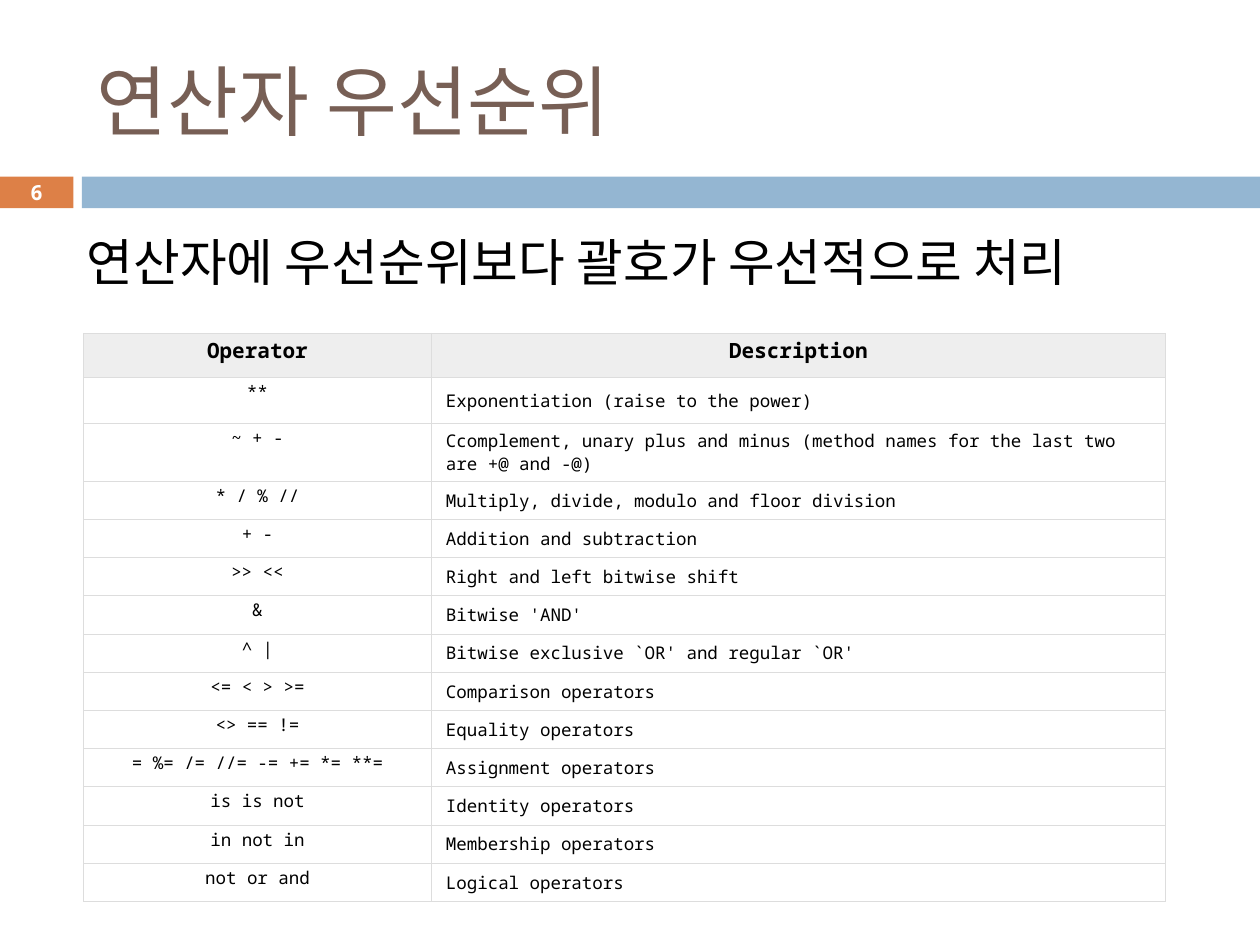
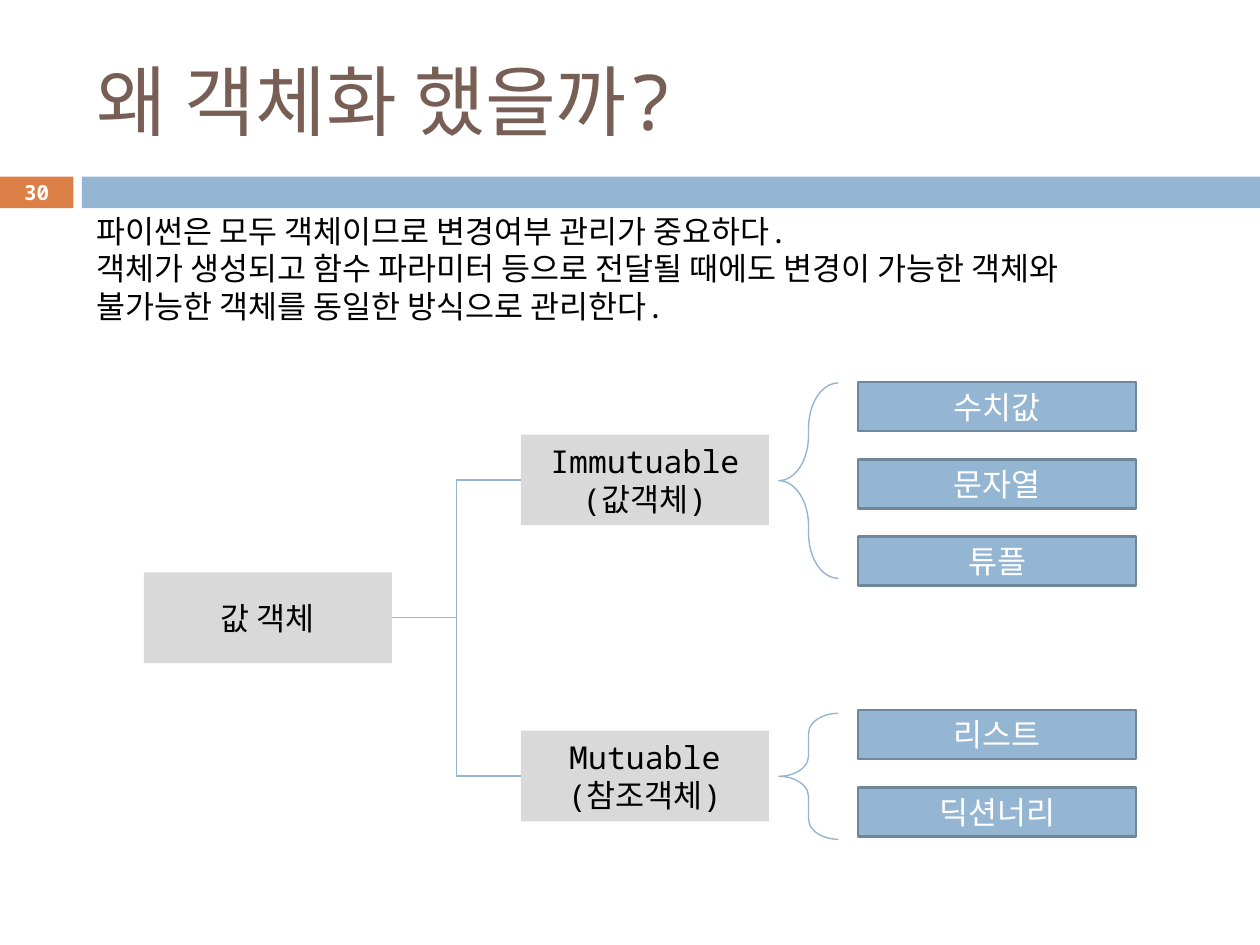
from dataclasses import dataclass

from lxml import etree
from pptx import Presentation
from pptx import util as u
from pptx.dml import color
from pptx.enum import shapes, text
from pptx.oxml import ns

SHAPE = shapes.MSO_SHAPE
ALIGN = text.PP_ALIGN
ANCHOR = text.MSO_ANCHOR


@dataclass(frozen=True)
class Theme:
    font: str = "Noto Sans Mono"
    title: str = "775F55"
    ink: str = "000000"
    white: str = "FFFFFF"
    blue: str = "94B6D2"
    blue_edge: str = "6D879B"
    orange: str = "DD8047"
    grey: str = "D9D9D9"
    head_fill: str = "EEEEEE"
    grid: str = "DDDDDD"
    title_size: float = 44
    lead_size: float = 29
    body_size: float = 18
    head_size: float = 12
    number_size: float = 11.9
    cell_size: float = 10
    thin: float = 0.79
    edge: float = 1.5
    grid_width: float = 0.6


def apply(obj, values):
    for name, value in values.items():
        setattr(obj, name, value)


def lengths(*values):
    return [u.Cm(v) for v in values]


def rgb(code):
    return color.RGBColor.from_string(code)


class Deck:
    def __init__(self, theme):
        self.t = theme
        self.prs = Presentation()
        apply(self.prs, {"slide_width": u.Cm(25.4), "slide_height": u.Cm(19.05)})
        self.s = None

    def new_slide(self, title, number):
        t = self.t
        self.s = self.prs.slides.add_slide(self.prs.slide_layouts[5])
        self.box((0, 3.56, 1.48, 0.64), t.orange)
        self.box((1.65, 3.56, 23.75, 0.64), t.blue)
        sp = self.s.shapes.title
        left, top, width, height = lengths(1.69, 0.64, 22.66, 2.74)
        apply(sp, {"left": left, "top": top, "width": width, "height": height})
        self.set_text(sp.text_frame, [title], t.title_size, t.title, anchor=ANCHOR.MIDDLE)
        self.label((0, 3.53, 1.48, 0.69), [str(number)], t.number_size, t.white,
                   bold=True, align=ALIGN.CENTER, anchor=ANCHOR.MIDDLE)

    def set_text(self, tf, lines, size, ink, bold=False, align=ALIGN.LEFT,
                 anchor=ANCHOR.TOP, before=0):
        apply(tf, {"word_wrap": True, "vertical_anchor": anchor})
        for i, line in enumerate(lines):
            p = tf.add_paragraph() if i else tf.paragraphs[0]
            apply(p, {"alignment": align, "space_before": u.Pt(before)})
            r = p.add_run()
            r.text = line
            apply(r.font, {"name": self.t.font, "size": u.Pt(size), "bold": bold})
            r.font.color.rgb = rgb(ink)

    def label(self, at, lines, size, ink, **fmt):
        sp = self.s.shapes.add_textbox(*lengths(*at))
        self.set_text(sp.text_frame, lines, size, ink, **fmt)

    def box(self, at, fill, lines=(), ink=None, edge=None):
        sp = self.s.shapes.add_shape(SHAPE.RECTANGLE, *lengths(*at))
        sp.shadow.inherit = False
        sp.fill.solid()
        sp.fill.fore_color.rgb = rgb(fill)
        if edge:
            self.stroke(sp.line, edge, self.t.edge)
        else:
            sp.line.fill.background()
        if lines:
            self.set_text(sp.text_frame, lines, self.t.body_size, ink,
                          align=ALIGN.CENTER, anchor=ANCHOR.MIDDLE)
        return sp

    def stroke(self, line, code, width):
        line.color.rgb = rgb(code)
        line.width = u.Pt(width)

    def brace(self, at, curl):
        sp = self.s.shapes.add_shape(SHAPE.LEFT_BRACE, *lengths(*at))
        sp.shadow.inherit = False
        sp.adjustments[0] = curl
        sp.fill.background()
        self.stroke(sp.line, self.t.blue, self.t.thin)

    def elbow(self, start, end):
        """Join the right side of start to the left side of end."""
        c = self.s.shapes.add_connector(shapes.MSO_CONNECTOR.ELBOW, 0, 0, 0, 0)
        c.begin_connect(start, 3)
        c.end_connect(end, 1)
        self.stroke(c.line, self.t.blue, self.t.thin)
        etree.SubElement(c._element.spPr, ns.qn("a:effectLst"))

    def table(self, at, widths, heights, rows):
        t = self.t
        tbl = self.s.shapes.add_table(len(rows), len(widths), *lengths(*at)).table
        for col, width in zip(tbl.columns, widths):
            col.width = u.Cm(width)
        for i, (height, row) in enumerate(zip(heights, rows)):
            tbl.rows[i].height = u.Cm(height)
            for j, value in enumerate(row):
                cell = tbl.cell(i, j)
                head, described = i == 0, i > 0 and j == 1
                side = u.Cm(0.3 if described else 0.05)
                apply(cell, {"margin_left": side, "margin_right": side,
                             "margin_top": u.Cm(0.05), "margin_bottom": u.Cm(0.05)})
                self.set_text(cell.text_frame, [value],
                              t.head_size if head else t.cell_size, t.ink, bold=head,
                              align=ALIGN.LEFT if described else ALIGN.CENTER)
                cell.vertical_anchor = ANCHOR.MIDDLE if described else ANCHOR.TOP
                cell.fill.solid()
                cell.fill.fore_color.rgb = rgb(t.head_fill if head else t.white)
                self.cell_borders(cell)

    def cell_borders(self, cell):
        tc_pr = cell._tc.get_or_add_tcPr()
        for i, side in enumerate(("lnL", "lnR", "lnT", "lnB")):
            ln = etree.Element(ns.qn("a:" + side), w=str(int(u.Pt(self.t.grid_width))))
            fill = etree.SubElement(ln, ns.qn("a:solidFill"))
            etree.SubElement(fill, ns.qn("a:srgbClr"), val=self.t.grid)
            tc_pr.insert(i, ln)


OPERATORS = [
    ("Operator", "Description"),
    ("**", "Exponentiation (raise to the power)"),
    ("~ + -", "Ccomplement, unary plus and minus (method names for the last two "
              "are +@ and -@)"),
    ("* / % //", "Multiply, divide, modulo and floor division"),
    ("+ -", "Addition and subtraction"),
    (">> <<", "Right and left bitwise shift"),
    ("&", "Bitwise 'AND'"),
    ("^ |", "Bitwise exclusive `OR' and regular `OR'"),
    ("<= < > >=", "Comparison operators"),
    ("<> == !=", "Equality operators"),
    ("= %= /= //= -= += *= **=", "Assignment operators"),
    ("is is not", "Identity operators"),
    ("in not in", "Membership operators"),
    ("not or and", "Logical operators"),
]

# kind lines, kind top, first leaf top, leaves, brace top, brace height, brace curl
KINDS = [
    (["Immutuable", "(값객체)"], 8.76, 7.7, ["수치값", "문자열", "튜플"], 7.72, 3.94, 0.76),
    (["Mutuable", "(참조객체)"], 14.73, 14.31, ["리스트", "딕션너리"], 14.38, 2.54, 0.34),
]
LEAF_PITCH = 1.56


def operator_slide(deck):
    t = deck.t
    deck.new_slide("연산자 우선순위", 6)
    heights = [0.89, 0.92, 1.17] + [0.77] * (len(OPERATORS) - 3)
    deck.table((1.69, 6.72, 21.81, sum(heights)), (7, 14.81), heights, OPERATORS)
    deck.label((1.27, 4.52, 22.86, 3.3), [" 연산자에 우선순위보다 괄호가 우선적으로 처리"],
               t.lead_size, t.ink, before=7)


def object_slide(deck):
    t = deck.t
    deck.new_slide("왜 객체화 했을까?", 30)
    deck.label((1.69, 4.14, 22.2, 2.57), [
        "파이썬은 모두 객체이므로 변경여부 관리가 중요하다.",
        "객체가 생성되고 함수 파라미터 등으로 전달될 때에도 변경이 가능한 객체와 "
        "불가능한 객체를 동일한 방식으로 관리한다.",
    ], t.body_size, t.ink)
    root = deck.box((2.9, 11.54, 5, 1.83), t.grey, ["값 객체"], t.ink)
    for lines, top, leaf_top, leaves, brace_top, brace_height, curl in KINDS:
        kind = deck.box((10.5, top, 5, 1.83), t.grey, lines, t.ink)
        deck.elbow(root, kind)
        deck.brace((15.7, brace_top, 1.2, brace_height), curl)
        for i, leaf in enumerate(leaves):
            deck.box((17.3, leaf_top + i * LEAF_PITCH, 5.6, 0.99), t.blue, [leaf],
                     t.white, edge=t.blue_edge)


def main():
    deck = Deck(Theme())
    operator_slide(deck)
    object_slide(deck)
    deck.prs.save("out.pptx")


if __name__ == "__main__":
    main()
